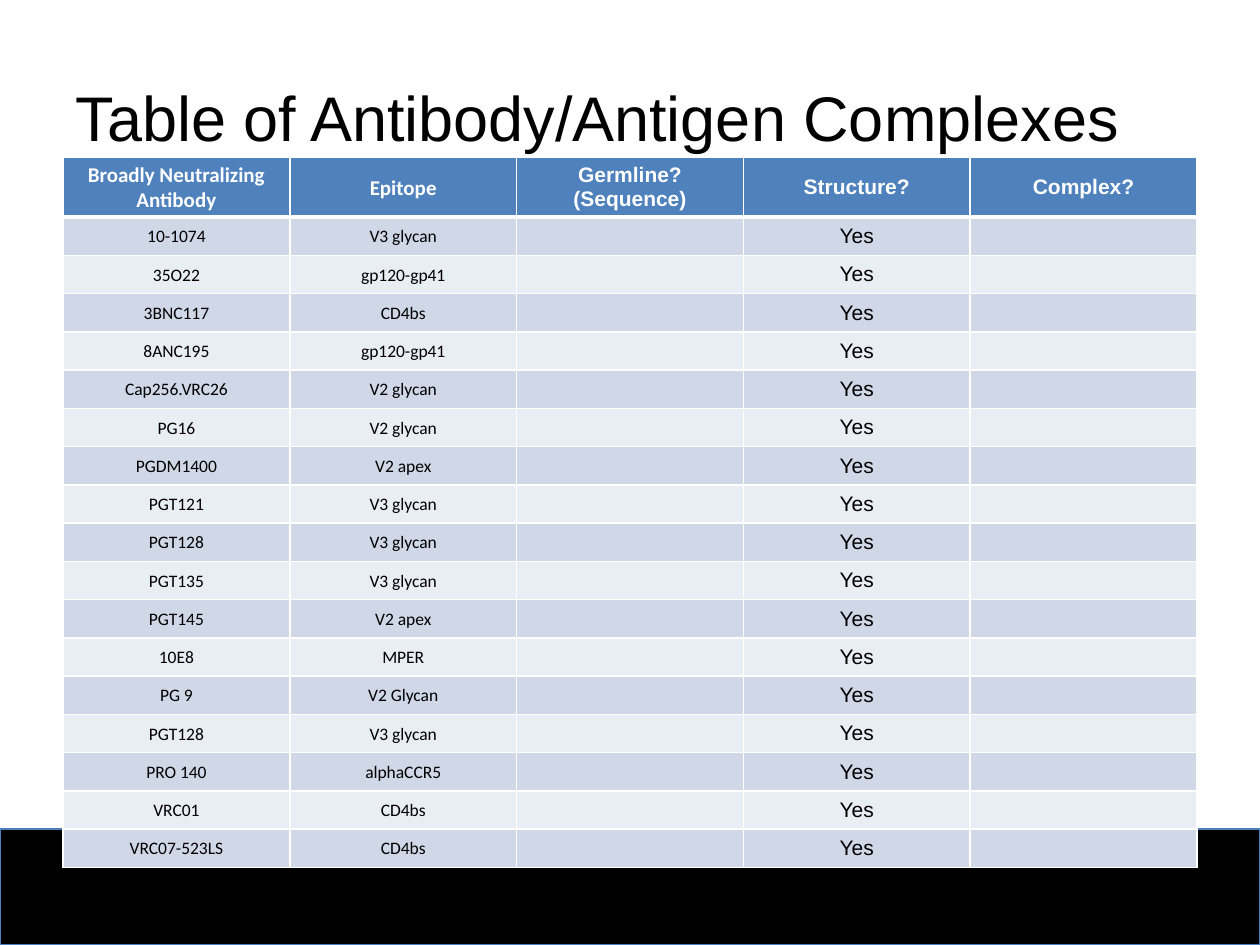
from typing import NamedTuple

from lxml import etree
from pptx import Presentation, util as u
from pptx.dml.color import RGBColor
from pptx.enum import shapes, text
from pptx.oxml.ns import qn

WHITE, BLACK, BLUE = "FFFFFF", "000000", "4F81BD"
BANDS = ("D0D8E8", "E9EDF4")
HEADER_H, ROW_H, COL_W = 0.47, 0.3, 1.8


class Column(NamedTuple):
    heading: str
    font: str
    size: int
    tight: bool


class Antibody(NamedTuple):
    name: str
    epitope: str
    germline: str = ""
    structure: str = "Yes"
    in_complex: str = ""


COLUMNS = [
    Column("Broadly Neutralizing Antibody", "Calibri", 10, True),
    Column("Epitope", "Calibri", 10, True),
    Column("Germline? (Sequence)", "Arial", 12, False),
    Column("Structure?", "Arial", 12, False),
    Column("Complex?", "Arial", 12, False),
]
ANTIBODIES = [
    Antibody("10-1074", "V3 glycan"),
    Antibody("35O22", "gp120-gp41"),
    Antibody("3BNC117", "CD4bs"),
    Antibody("8ANC195", "gp120-gp41"),
    Antibody("Cap256.VRC26", "V2 glycan"),
    Antibody("PG16", "V2 glycan"),
    Antibody("PGDM1400", "V2 apex"),
    Antibody("PGT121", "V3 glycan"),
    Antibody("PGT128", "V3 glycan"),
    Antibody("PGT135", "V3 glycan"),
    Antibody("PGT145", "V2 apex"),
    Antibody("10E8", "MPER"),
    Antibody("PG 9", "V2 Glycan"),
    Antibody("PGT128", "V3 glycan"),
    Antibody("PRO 140", "alphaCCR5"),
    Antibody("VRC01", "CD4bs"),
    Antibody("VRC07-523LS", "CD4bs"),
]


def rgb(value: str) -> RGBColor:
    return RGBColor.from_string(value)


def set_attrs(obj, values: dict) -> None:
    for name, value in values.items():
        setattr(obj, name, value)


def place(sp, left: float, top: float, width: float, height: float) -> None:
    set_attrs(sp, {"left": u.Inches(left), "top": u.Inches(top),
                   "width": u.Inches(width), "height": u.Inches(height)})


def write(p, words: str, color: str, **font) -> None:
    r = p.add_run()
    r.text = words
    set_attrs(r.font, font)
    r.font.color.rgb = rgb(color)


def add_borders(cell, bottom: float) -> None:
    tc_pr = cell._tc.get_or_add_tcPr()
    for side, width in (("L", 1), ("R", 1), ("T", 1), ("B", bottom)):
        ln = etree.SubElement(tc_pr, qn(f"a:ln{side}"), w=str(u.Pt(width)))
        fill = etree.SubElement(ln, qn("a:solidFill"))
        etree.SubElement(fill, qn("a:srgbClr"), val=WHITE)


def format_cell(cell, words: str, col: Column, row: int) -> None:
    header = row == 0
    size = 12 if header else col.size
    add_borders(cell, 3 if header or row == 1 and False else 1)
    cell.fill.solid()
    cell.fill.fore_color.rgb = rgb(BLUE if header else BANDS[(row - 1) % 2])
    cell.vertical_anchor = text.MSO_ANCHOR.MIDDLE
    if col.tight:
        edge = u.Inches(0.01)
        set_attrs(cell, {"margin_left": edge, "margin_right": edge,
                         "margin_top": edge, "margin_bottom": 0})
    p = cell.text_frame.paragraphs[0]
    p.alignment = text.PP_ALIGN.CENTER
    if words:
        write(p, words, WHITE if header else BLACK, name=col.font,
              size=u.Pt(size), bold=header)
    else:
        # Keep blank cells from stretching their row
        etree.SubElement(p._p, qn("a:endParaRPr"), sz=str(size * 100))


prs = Presentation()
set_attrs(prs, {"slide_width": u.Inches(10), "slide_height": u.Inches(7.5)})
s = prs.slides.add_slide(prs.slide_layouts[5])

# Footer band, behind everything else
band = s.shapes.add_shape(shapes.MSO_SHAPE.RECTANGLE, 0, 0, 0, 0)
place(band, 0, 6.58, 10, 0.92)
band.shadow.inherit = False
band.fill.solid()
band.fill.fore_color.rgb = rgb(BLACK)
band.line.color.rgb = rgb("4B7EBC")
band.line.width = u.Pt(0.75)
s.shapes._spTree.insert(2, band._element)

# Title
title = s.shapes.title
place(title, 0.5, 0.3, 9, 1.25)
tf = title.text_frame
set_attrs(tf, {"word_wrap": True, "auto_size": text.MSO_AUTO_SIZE.NONE,
               "vertical_anchor": text.MSO_ANCHOR.MIDDLE})
tf.paragraphs[0].alignment = text.PP_ALIGN.LEFT
write(tf.paragraphs[0], "Table of Antibody/Antigen Complexes", BLACK,
      name="Arial", size=u.Pt(36))

# Antibody table
rows = [tuple(c.heading for c in COLUMNS), *ANTIBODIES]
frame = s.shapes.add_table(len(rows), len(COLUMNS), 0, 0, 0, 0)
place(frame, 0.5, 1.25, COL_W * len(COLUMNS),
      HEADER_H + ROW_H * len(ANTIBODIES))
table = frame.table
for column in table.columns:
    column.width = u.Inches(COL_W)
for i, values in enumerate(rows):
    table.rows[i].height = u.Inches(ROW_H if i else HEADER_H)
    for j, (words, col) in enumerate(zip(values, COLUMNS)):
        format_cell(table.cell(i, j), words, col, i)

prs.save("out.pptx")
